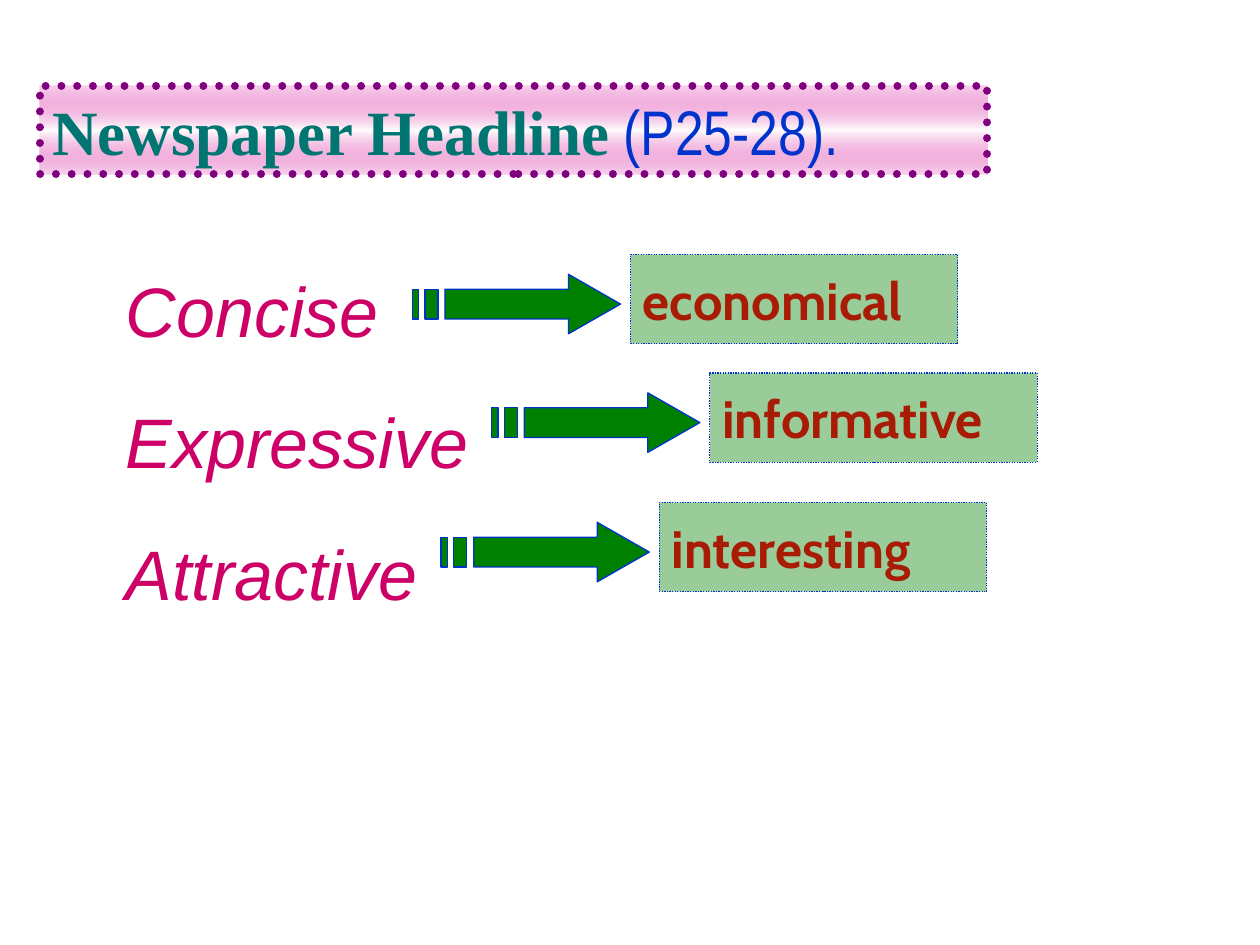
import pptx
import pptx.util
import pptx.dml.color
import pptx.enum.dml
import pptx.enum.shapes
import pptx.enum.text
import pptx.oxml
import pptx.oxml.ns

Cm, Pt = pptx.util.Cm, pptx.util.Pt
COLOURS = {
    "heading": "007572", "pages": "0033CC", "frame": "800080", "glow": "D60093",
    "white": "FFFFFF", "quality": "CC0066", "green": "008000",
    "outline": "0033CC", "meaning": "A81B04",
}
HEADING = [("Newspaper Headline", "Times New Roman", "heading", True),
           (" (P25-28).", "Arial Narrow", "pages", False)]
# quality, meaning, left of arrow and top of box in cm
ROWS = [("Concise", "economical", 8.31, 5.13),
        ("Expressive", "informative", 9.91, 7.52),
        ("Attractive", "interesting", 8.89, 10.13)]
BOX_OFFSET, BOX_WIDTH, BOX_HEIGHT = 4.4, 6.6, 1.8
ARROW_OFFSET = 0.4
# arrow outlines in cm: pointed body, then two stripes
ARROW = [
    [(3.15, 0), (3.15, 0.3), (0.66, 0.3), (0.66, 0.9), (3.15, 0.9), (3.15, 1.2), (4.2, 0.6)],
    [(0.26, 0.3), (0.26, 0.9), (0.52, 0.9), (0.52, 0.3)],
    [(0, 0.3), (0, 0.9), (0.13, 0.9), (0.13, 0.3)],
]


def rgb(name):
    return pptx.dml.color.RGBColor.from_string(COLOURS[name])


def style_font(font, face, colour, size=None, bold=None, italic=None):
    font.name, font.size, font.bold, font.italic = face, size, bold, italic
    font.color.rgb = rgb(colour)


def style_line(line, colour, width, dotted=False):
    line.color.rgb = rgb(colour)
    line.width = Pt(width)
    if dotted:
        line.dash_style = pptx.enum.dml.MSO_LINE.ROUND_DOT


def set_alpha(fill_element, percent):
    colour = fill_element.find(".//" + pptx.oxml.ns.qn("a:srgbClr"))
    colour.append(pptx.oxml.parse_xml(
        f'<a:alpha {pptx.oxml.ns.nsdecls("a")} val="{percent * 1000}"/>'))


def glow_fill(shape):
    """Fill with pale pink edges that fade to a white middle."""
    stops = "".join(
        f'<a:gs pos="{pos}"><a:srgbClr val="{COLOURS[name]}">'
        f'<a:alpha val="{alpha}"/></a:srgbClr></a:gs>'
        for pos, name, alpha in [(0, "glow", 16000), (50000, "white", 100000),
                                 (100000, "glow", 16000)])
    properties = shape._element.spPr
    properties.insert_element_before(pptx.oxml.parse_xml(
        f'<a:gradFill {pptx.oxml.ns.nsdecls("a")} rotWithShape="1"><a:gsLst>{stops}</a:gsLst>'
        '<a:lin ang="5400000" scaled="1"/></a:gradFill>'), "a:ln", "a:effectLst")


def add_heading(slide):
    title = slide.shapes.title
    title.left, title.top, title.width, title.height = Cm(0.8), Cm(1.73), Cm(19.1), Cm(1.78)
    style_line(title.line, "frame", 4.5, dotted=True)
    title.line._ln.set("cap", "rnd")
    glow_fill(title)
    frame = title.text_frame
    frame.auto_size = pptx.enum.text.MSO_AUTO_SIZE.NONE
    frame.vertical_anchor = pptx.enum.text.MSO_ANCHOR.MIDDLE
    paragraph = frame.paragraphs[0]
    paragraph.alignment = pptx.enum.text.PP_ALIGN.LEFT
    paragraph.font.size = Pt(36)
    for text, face, colour, bold in HEADING:
        run = paragraph.add_run()
        run.text = text
        style_font(run.font, face, colour, Pt(36), bold)


def add_qualities(slide):
    frame = slide.shapes.add_textbox(Cm(2.29), Cm(5.27), Cm(21.4), Cm(7.1)).text_frame
    frame.word_wrap = True
    frame.text = "\n".join(row[0] for row in ROWS)
    for index, paragraph in enumerate(frame.paragraphs):
        paragraph.space_before = Pt(27 if index else 0)
        style_font(paragraph.font, "Arial", "quality", Pt(40), italic=True)


def add_arrow(shapes, left, top):
    outlines = [[(Cm(left + x), Cm(top + y)) for x, y in outline] for outline in ARROW]
    builder = shapes.build_freeform(*outlines[0][0])
    for index, outline in enumerate(outlines):
        if index:
            builder.move_to(*outline[0])
        builder.add_line_segments(outline[1:], close=True)
    arrow = builder.convert_to_shape()
    arrow.shadow.inherit = False
    arrow.fill.solid()
    arrow.fill.fore_color.rgb = rgb("green")
    style_line(arrow.line, "outline", 0.75)


def add_meaning(shapes, text, left, top):
    box = shapes.add_shape(pptx.enum.shapes.MSO_SHAPE.RECTANGLE,
                           Cm(left), Cm(top), Cm(BOX_WIDTH), Cm(BOX_HEIGHT))
    box.shadow.inherit = False
    box.fill.solid()
    box.fill.fore_color.rgb = rgb("green")
    set_alpha(box._element.spPr.find(pptx.oxml.ns.qn("a:solidFill")), 40)
    style_line(box.line, "outline", 0.75, dotted=True)
    frame = box.text_frame
    frame.word_wrap = True
    frame.vertical_anchor = pptx.enum.text.MSO_ANCHOR.MIDDLE
    frame.text = text
    paragraph = frame.paragraphs[0]
    paragraph.alignment = pptx.enum.text.PP_ALIGN.LEFT
    style_font(paragraph.font, "Cabin", "meaning", Pt(30), bold=True)


def main():
    deck = pptx.Presentation()
    deck.slide_width, deck.slide_height = Cm(25.4), Cm(19.05)
    slide = deck.slides.add_slide(deck.slide_layouts.get_by_name("Title Only"))
    add_heading(slide)
    add_qualities(slide)
    for _, meaning, left, top in ROWS:
        pair = slide.shapes.add_group_shape()
        add_arrow(pair.shapes, left, top + ARROW_OFFSET)
        add_meaning(pair.shapes, meaning, left + BOX_OFFSET, top)
    deck.save("out.pptx")


if __name__ == "__main__":
    main()
